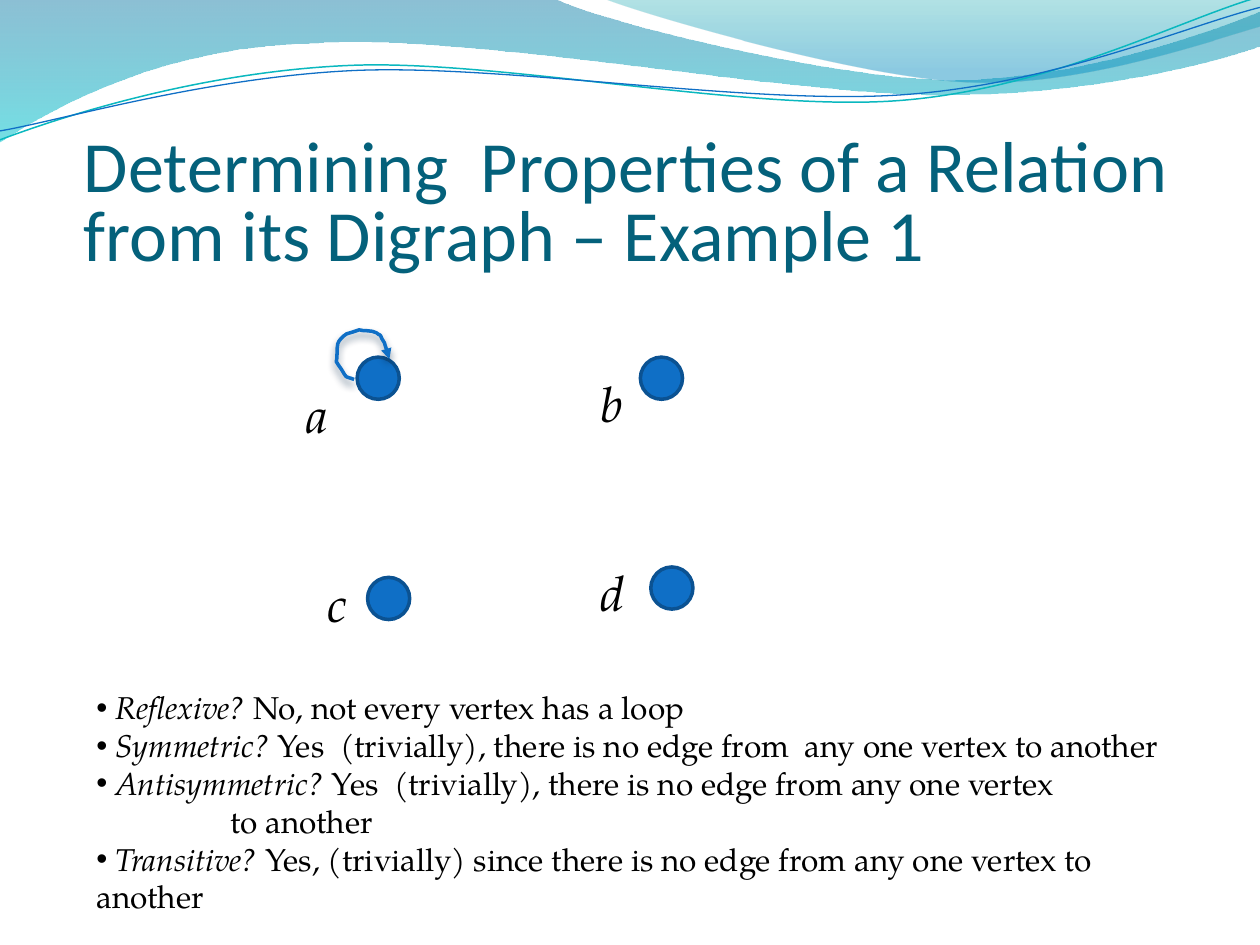
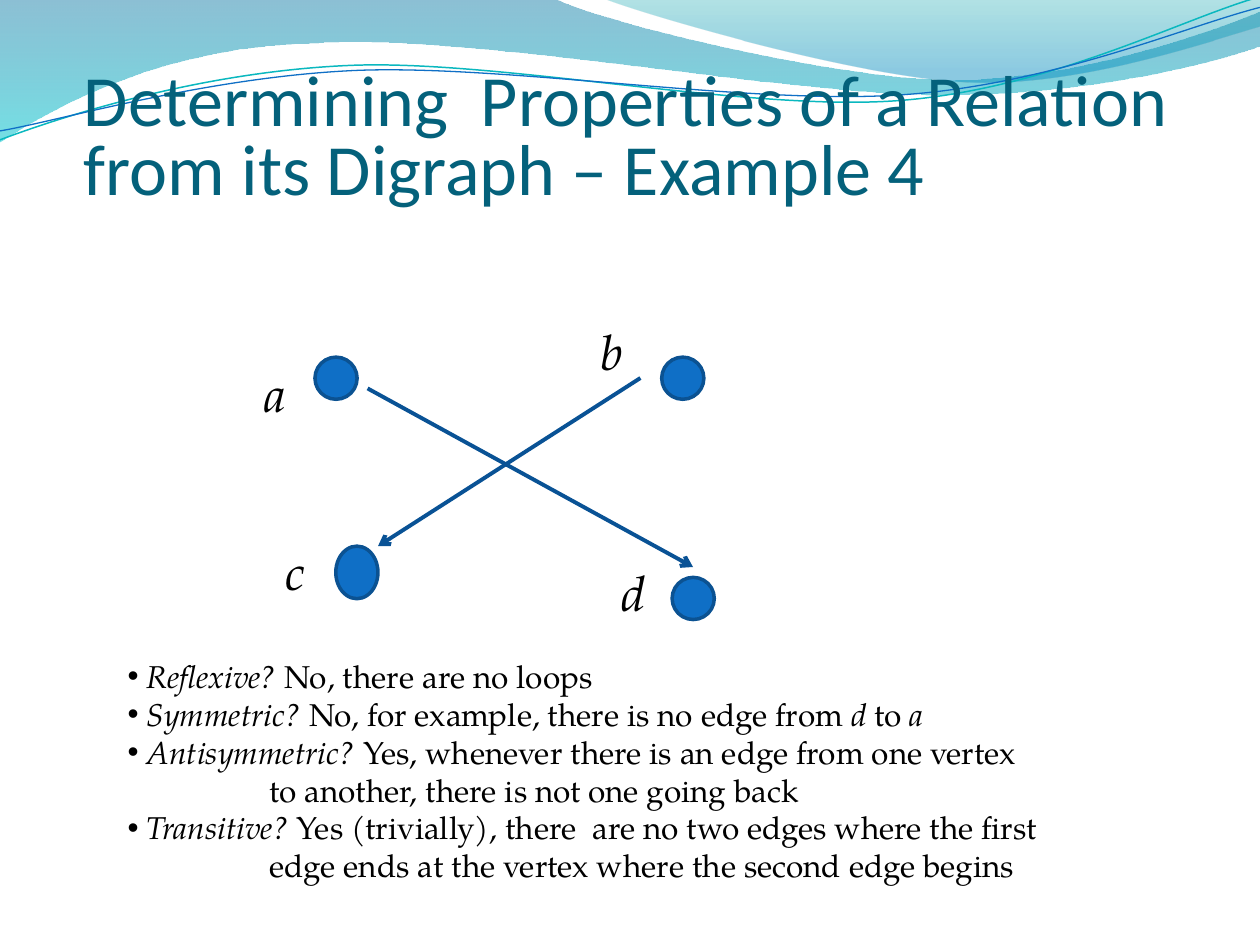
from dataclasses import dataclass

from lxml import etree
from pptx import Presentation
from pptx.dml.color import RGBColor
from pptx.enum.shapes import MSO_CONNECTOR, MSO_SHAPE
from pptx.enum.text import MSO_ANCHOR, MSO_AUTO_SIZE, PP_ALIGN
from pptx.oxml.ns import qn
from pptx.util import Cm, Pt

OVAL = MSO_SHAPE.OVAL
LINE = MSO_CONNECTOR.STRAIGHT
BASE = MSO_ANCHOR.BOTTOM
TOP = MSO_ANCHOR.TOP
FIXED = MSO_AUTO_SIZE.NONE
LEFT = PP_ALIGN.LEFT


@dataclass(frozen=True)
class Theme:
    title: str = "04617B"
    ink: str = "000000"
    node: str = "0F6FC6"
    rim: str = "0B5292"
    edge: str = "095295"
    teal: str = "0AB8BF"
    shade: str = "042747"
    # Gradient stops: position, colour, opacity in percent
    wide: tuple = ((0, "0074A1", 45), (1, "00C6CF", 55))
    slim: tuple = ((0, "00A1A9", 30), (0.8, "008BBF", 45))
    head: str = "Calibri"
    text: str = "TeX Gyre Pagella"
    head_size: float = 41.25
    name_size: int = 28
    list_size: int = 18


# Outlines in cm: a start point, then lines (2 numbers) or curves (6 numbers)
WIDE = [(0, 0), (11.18, -0.03),
        (12.09, 0.43, 16.87, 1.6, 19.25, 1.6),
        (21.67, 1.6, 24.33, 0.66, 25.4, 0.23), (25.43, 0.91),
        (24.97, 1.12, 22.1, 1.93, 18.95, 1.91),
        (15.8, 1.91, 9.7, 0.71, 6.53, 0.86),
        (3.28, 0.91, 1.17, 2.11, -0.03, 2.87), (0, 0)]
SLIM = [(12.17, -0.03), (12.93, 0.28, 17.32, 1.57, 19.53, 1.65),
        (21.74, 1.75, 24.41, 0.81, 25.4, 0.53), (25.4, 0), (12.17, -0.03)]
HIGH = [(0, 2.82), (1.22, 2.36, 4.01, 1.45, 7.04, 1.32),
        (10.03, 1.19, 15.06, 2.26, 18.11, 2.03),
        (21.16, 1.8, 23.83, 0.38, 25.35, -0.05)]
LOW = [(0, 2.64), (1.19, 2.44, 4.17, 1.55, 7.19, 1.42),
       (10.24, 1.3, 15.14, 2.13, 18.21, 1.91),
       (21.23, 1.7, 23.9, 0.53, 25.4, 0.15)]
LOOP = [(7.14, 7.65), (6.93, 7.57, 7.01, 7.65, 6.88, 7.44),
        (6.83, 7.37), (6.78, 7.29),
        (6.81, 7.19, 6.78, 7.06, 6.81, 6.93),
        (6.83, 6.86, 6.91, 6.78, 6.99, 6.73),
        (7.06, 6.71, 7.16, 6.68, 7.24, 6.65),
        (7.32, 6.68, 7.49, 6.65, 7.59, 6.71),
        (7.62, 6.73, 7.65, 6.76, 7.67, 6.76),
        (7.67, 6.78, 7.7, 6.81, 7.7, 6.83),
        (7.72, 6.86, 7.72, 6.88, 7.75, 6.91),
        (7.77, 6.96, 7.77, 7.01, 7.8, 7.06), (7.82, 7.14),
        (7.85, 7.21, 7.85, 7.19, 7.85, 7.24)]


class Deck:
    def __init__(self, theme):
        self.theme = theme
        self.prs = Presentation()
        self.prs.slide_width, self.prs.slide_height = Cm(25.4), Cm(19.05)
        self.layout = self.prs.slide_layouts[1]
        self.slide = None

    def start(self):
        first = self.slide is None
        self.slide = self.prs.slides.add_slide(self.layout)
        if first:
            self.band()

    # Shared header waves, kept on the layout
    def band(self):
        t = self.theme
        waves = [self.wave(WIDE, t.wide), self.wave(SLIM, t.slim),
                 self.curve(HIGH, t.teal, 0.85), self.curve(LOW, t.node, 0.75)]
        tree = self.layout.shapes.element
        for i, wave in enumerate(waves):
            wave.element.xpath(".//p:cNvPr")[0].set("id", str(101 + i))
            tree.insert(2 + i, wave.element)

    def draw(self, steps, close):
        """Lay out every point as a line, then bend the triples into curves."""
        spots = [(Cm(x), Cm(y)) for step in steps
                 for x, y in zip(step[::2], step[1::2])]
        pen = self.slide.shapes.build_freeform(*spots[0])
        pen.add_line_segments(spots[1:], close=close)
        shape = pen.convert_to_shape()
        shape.shadow.inherit = False
        lines = iter(list(shape.element.spPr.iter(qn("a:lnTo"))))
        for step in steps[1:]:
            first = next(lines)
            if len(step) == 6:
                bend = etree.Element(qn("a:cubicBezTo"))
                first.addprevious(bend)
                for line in (first, next(lines), next(lines)):
                    bend.append(line[0])
                    line.getparent().remove(line)
        return shape

    def wave(self, steps, stops):
        shape = self.draw(steps, True)
        shape.line.fill.background()
        shape.fill.gradient()
        shape.fill.gradient_angle = 270
        for stop, (spot, color, _) in zip(shape.fill.gradient_stops, stops):
            stop.position = spot
            stop.color.rgb = RGBColor.from_string(color)
        tints = shape.element.spPr.iter(qn("a:srgbClr"))
        for tint, (_, _, alpha) in zip(tints, stops):
            etree.SubElement(tint, qn("a:alpha"), val=str(alpha * 1000))
        return shape

    def curve(self, steps, color, width, tip=None):
        shape = self.draw(steps, False)
        shape.fill.background()
        self.stroke(shape, color, width, tip)
        return shape

    def stroke(self, shape, color, width, tip=None):
        shape.line.color.rgb = RGBColor.from_string(color)
        shape.line.width = Pt(width)
        if tip:
            line = shape.element.spPr.find(qn("a:ln"))
            etree.SubElement(line, qn("a:tailEnd"), type=tip)

    def font(self, para, name, size, color):
        para.font.name, para.font.size = name, Pt(size)
        para.font.color.rgb = RGBColor.from_string(color)

    def place(self, shape, box):
        shape.left, shape.top, shape.width, shape.height = map(Cm, box)

    # Text
    def title(self, text, top):
        t, shape = self.theme, self.slide.shapes.title
        self.place(shape, (1.69, top, 22.86, 3.18))
        frame = shape.text_frame
        frame.text = text
        frame.auto_size, frame.vertical_anchor = FIXED, BASE
        frame.margin_left = frame.margin_right = frame.margin_bottom = 0
        para = frame.paragraphs[0]
        para.alignment, para.line_spacing = LEFT, 0.8
        self.font(para, t.head, t.head_size, t.title)

    def list(self, lines, box, inset):
        """Lines starting with '>' carry on the one above; *...* is italic."""
        t, shape = self.theme, self.slide.placeholders[1]
        self.place(shape, box)
        frame = shape.text_frame
        frame.auto_size, frame.vertical_anchor = FIXED, TOP
        for i, line in enumerate(lines):
            para = frame.add_paragraph() if i else frame.paragraphs[0]
            more = line.startswith(">")
            props = para._p.get_or_add_pPr()
            props.set("marL", str(Cm(inset) if more else 0))
            props.set("indent", "0")
            if more:
                etree.SubElement(props, qn("a:buNone"))
            else:
                etree.SubElement(props, qn("a:buFont"), typeface="Arial")
                etree.SubElement(props, qn("a:buChar"), char="•")
            para.space_before, para.line_spacing = Pt(0), 1.0
            self.font(para, t.text, t.list_size, t.ink)
            words = line[1:] if more else " " + line
            for k, part in enumerate(words.split("*")):
                if part:
                    run = para.add_run()
                    run.text = part
                    if k % 2:
                        run.font.italic = True

    def label(self, text, x, y):
        t = self.theme
        box = self.slide.shapes.add_textbox(Cm(x), Cm(y), Cm(1.06), Cm(1.45))
        box.text_frame.word_wrap = True
        para = box.text_frame.paragraphs[0]
        para.text = text
        self.font(para, t.text, t.name_size, t.ink)
        para.font.italic = True

    # Digraph parts
    def node(self, x, y, high=0.85):
        t = self.theme
        dot = self.slide.shapes.add_shape(OVAL, Cm(x), Cm(y), Cm(0.85), Cm(high))
        dot.shadow.inherit = False
        dot.fill.solid()
        dot.fill.fore_color.rgb = RGBColor.from_string(t.node)
        self.stroke(dot, t.rim, 2)

    def edge(self, *ends):
        line = self.slide.shapes.add_connector(LINE, *map(Cm, ends))
        self.stroke(line, self.theme.edge, 2.25, "arrow")
        etree.SubElement(line.element.spPr, qn("a:effectLst"))

    def loop(self, steps):
        t = self.theme
        shape = self.curve(steps, t.node, 2, "triangle")
        glow = shape.element.spPr.find(qn("a:effectLst"))
        cast = etree.SubElement(glow, qn("a:outerShdw"), blurRad=str(Pt(4.5)),
                                dist=str(Pt(3)), dir="5400000", rotWithShape="0")
        tint = etree.SubElement(cast, qn("a:srgbClr"), val=t.shade)
        etree.SubElement(tint, qn("a:alpha"), val="48000")

    def graph(self, nodes, names):
        for spot in nodes:
            self.node(*spot)
        for name, spot in names.items():
            self.label(name, *spot)


def main():
    deck = Deck(Theme())
    head = "Determining  Properties of a Relation from its Digraph – Example "

    # Example 1: one loop
    deck.start()
    deck.title(head + "1", 2.38)
    deck.graph([(7.2, 7.2), (12.91, 7.2), (7.41, 11.64), (13.12, 11.43)],
               {"a": (5.93, 7.62), "b": (11.85, 7.41),
                "c": (6.35, 11.43), "d": (11.85, 11.22)})
    deck.loop(LOOP)
    deck.list([
        "*Reflexive?* No, not every vertex has a loop",
        "*Symmetric?* Yes  (trivially), there is no edge from  any one vertex to another",
        "*Antisymmetric?* Yes  (trivially), there is no edge from any one vertex",
        ">to another",
        "*Transitive?* Yes, (trivially) since there is no edge from any one vertex to another",
    ], (1.69, 13.75, 22.23, 4.11), 2.7)

    # Example 4: two crossing edges
    deck.start()
    deck.title(head + "4", 1.05)
    deck.graph([(6.35, 7.2), (13.34, 7.2), (6.77, 11.01, 1.06), (13.55, 11.64)],
               {"a": (5.08, 7.2), "b": (11.85, 6.35),
                "c": (5.5, 10.8), "d": (12.28, 11.22)})
    deck.edge(7.41, 7.83, 13.97, 11.43)
    deck.edge(12.91, 7.62, 7.62, 11.01)
    deck.list([
        "*Reflexive?* No, there are no loops",
        "*Symmetric?* No, for example, there is no edge from *d* to *a*",
        "*Antisymmetric?* Yes, whenever there is an edge from one vertex",
        ">to another, there is not one going back",
        "*Transitive? *Yes (trivially), there  are no two edges where the first",
        ">edge ends at the vertex where the second edge begins",
    ], (2.32, 13.12, 20.75, 4.87), 2.86)

    deck.prs.save("out.pptx")


if __name__ == "__main__":
    main()
